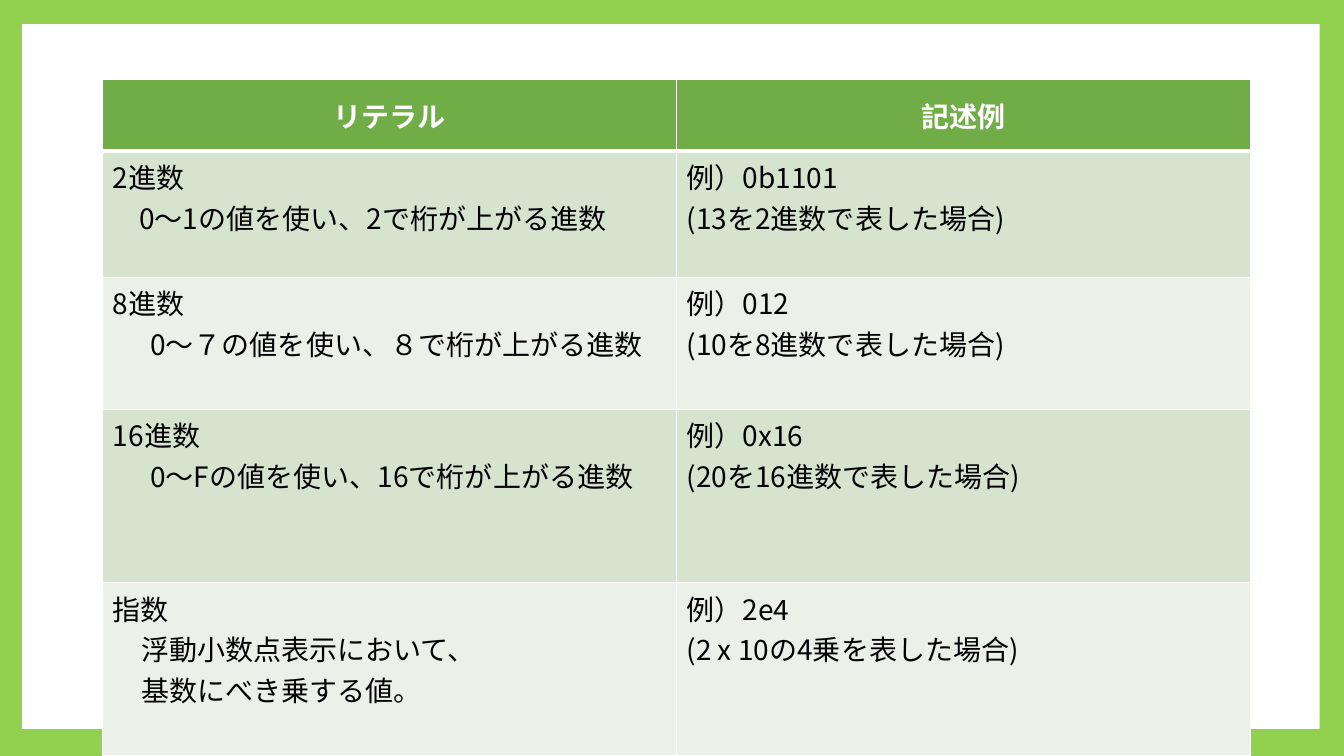
from dataclasses import dataclass

from lxml.etree import SubElement
from pptx import Presentation
from pptx.dml.color import RGBColor
from pptx.enum.shapes import MSO_SHAPE
from pptx.enum.text import MSO_ANCHOR, PP_ALIGN
from pptx.oxml import parse_xml
from pptx.oxml.ns import nsdecls, qn
from pptx.util import Inches, Pt


@dataclass(frozen=True)
class Theme:
    font: str = "Noto Sans CJK JP"
    size: int = 20
    frame: str = "92D050"
    paper: str = "FFFFFF"
    ink: str = "000000"
    header: str = "70AD47"
    bands: tuple = ("D5E3CF", "EBF1E9")
    thin: int = 1
    thick: int = 3


THEME = Theme()
HEADERS = ("リテラル", "記述例")
LITERALS = (
    (1.25, 0.26, ("2進数", "0～1の値を使い、2で桁が上がる進数"),
     ("例）0b1101", "(13を2進数で表した場合)")),
    (1.31, 0.37, ("8進数", "0～７の値を使い、８で桁が上がる進数"),
     ("例）012", "(10を8進数で表した場合)")),
    (1.72, 0.37, ("16進数", "0～Fの値を使い、16で桁が上がる進数"),
     ("例）0x16", "(20を16進数で表した場合)")),
    (1.72, 0.28, ("指数", "浮動小数点表示において、", "基数にべき乗する値。"),
     ("例）2e4", "(2 x 10の4乗を表した場合)")),
)
HEADER_HEIGHT = 0.71
COLUMN_WIDTH = 5.69


def apply(target, values):
    for name, value in values.items():
        setattr(target, name, value)


def paint(fill, color):
    fill.solid()
    fill.fore_color.rgb = RGBColor.from_string(color)


def add_panel(s):
    sp = s.shapes.add_shape(MSO_SHAPE.RECTANGLE, Inches(0.22), Inches(0.24),
                            Inches(12.87), Inches(6.99))
    sp.shadow.inherit = False
    paint(sp.fill, THEME.paper)
    sp.line.fill.background()


def set_borders(cell, widths):
    tc_pr = cell._tc.get_or_add_tcPr()
    for i, (side, width) in enumerate(widths.items()):
        tc_pr.insert(i, parse_xml(
            f'<a:ln{side} {nsdecls("a")} w="{Pt(width)}"><a:solidFill>'
            f'<a:srgbClr val="{THEME.paper}"/></a:solidFill></a:ln{side}>'))


def write_line(p, text, color, bold=False, indent=0):
    r = p.add_run()
    r.text = text
    apply(r.font, {"name": THEME.font, "size": Pt(THEME.size), "bold": bold})
    r.font.color.rgb = RGBColor.from_string(color)
    SubElement(r._r.get_or_add_rPr(), qn("a:ea"), typeface=THEME.font)
    if indent:
        p_pr = p._p.get_or_add_pPr()
        apply_xml = {"marL": 0, "indent": Inches(indent)}
        for name, value in apply_xml.items():
            p_pr.set(name, str(value))


def fill_cell(cell, lines, fill, color, top, bottom, indent=0, header=False):
    paint(cell.fill, fill)
    set_borders(cell, {"L": THEME.thin, "R": THEME.thin, "T": top, "B": bottom})
    tf = cell.text_frame
    for i, line in enumerate(lines):
        p = tf.add_paragraph() if i else tf.paragraphs[0]
        write_line(p, line, color, header, indent if i else 0)
        if header:
            p.alignment = PP_ALIGN.CENTER
    cell.vertical_anchor = MSO_ANCHOR.MIDDLE if header else MSO_ANCHOR.TOP


def add_literal_table(s):
    heights = [HEADER_HEIGHT] + [row[0] for row in LITERALS]
    table = s.shapes.add_table(
        len(heights), len(HEADERS), Inches(1.02), Inches(0.79),
        Inches(COLUMN_WIDTH * len(HEADERS)), Inches(sum(heights))).table
    for column in table.columns:
        column.width = Inches(COLUMN_WIDTH)
    for row, height in zip(table.rows, heights):
        row.height = Inches(height)
    for col, title in enumerate(HEADERS):
        fill_cell(table.cell(0, col), [title], THEME.header, THEME.paper,
                  THEME.thin, THEME.thick, header=True)
    for row, (_, indent, meaning, example) in enumerate(LITERALS, 1):
        band = THEME.bands[(row - 1) % len(THEME.bands)]
        top = THEME.thick if row == 1 else THEME.thin
        for col, (lines, shift) in enumerate(((meaning, indent), (example, 0))):
            fill_cell(table.cell(row, col), lines, band, THEME.ink,
                      top, THEME.thin, shift)


def main():
    prs = Presentation()
    apply(prs, {"slide_width": Inches(13.33), "slide_height": Inches(7.5)})
    s = prs.slides.add_slide(prs.slide_layouts[6])
    paint(s.background.fill, THEME.frame)
    add_panel(s)
    add_literal_table(s)
    prs.save("out.pptx")


if __name__ == "__main__":
    main()
